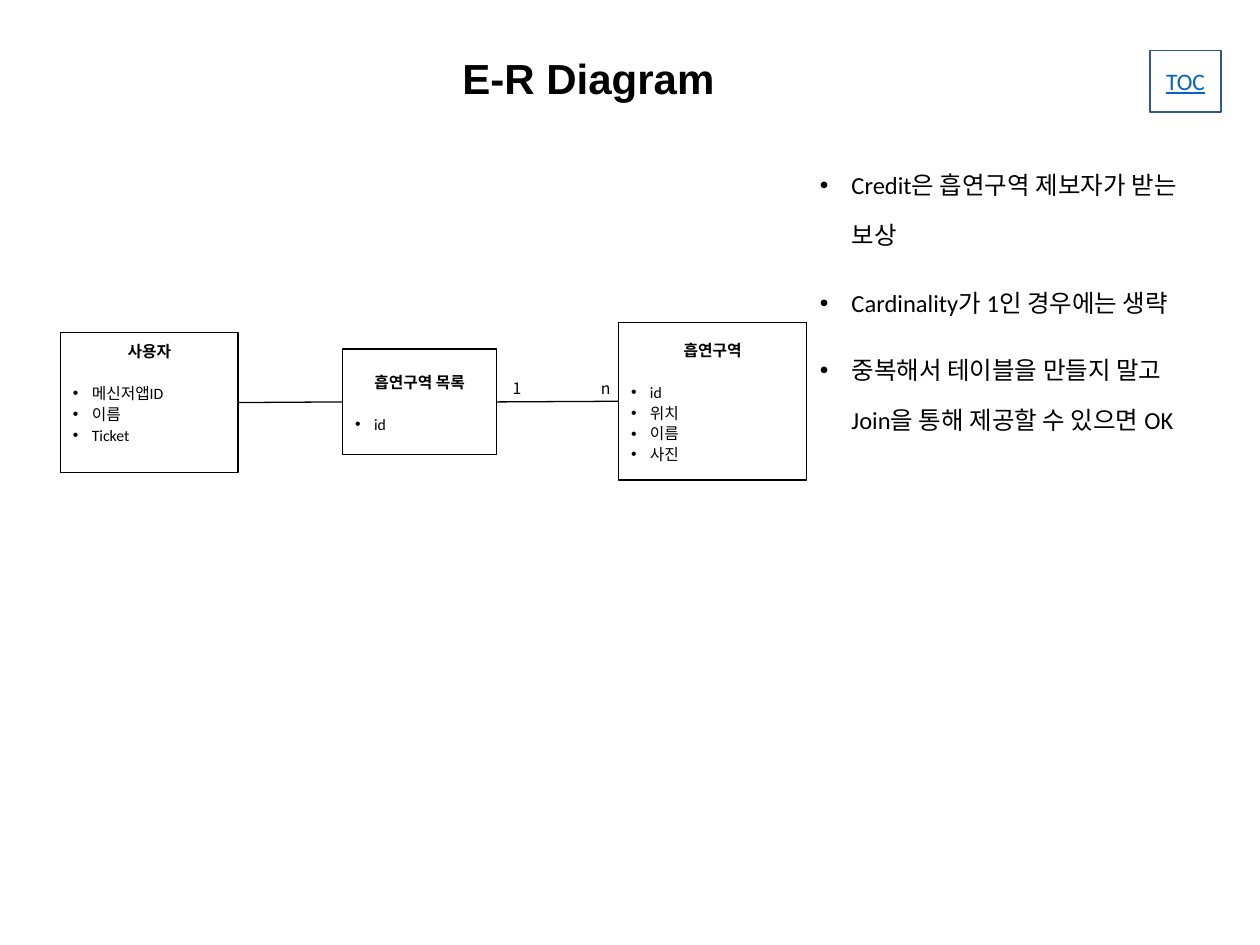
from lxml import etree
from pptx import Presentation
from pptx.dml.color import RGBColor
from pptx.enum.shapes import MSO_CONNECTOR, MSO_SHAPE
from pptx.enum.text import MSO_ANCHOR, PP_ALIGN
from pptx.oxml.ns import qn
from pptx.util import Inches, Pt

RECT = MSO_SHAPE.RECTANGLE
STRAIGHT = MSO_CONNECTOR.STRAIGHT
MIDDLE = MSO_ANCHOR.MIDDLE
CENTER, LEFT = PP_ALIGN.CENTER, PP_ALIGN.LEFT
BLACK = RGBColor(0x00, 0x00, 0x00)
WHITE = RGBColor(0xFF, 0xFF, 0xFF)
BUTTON_BLUE = RGBColor(0x32, 0x54, 0x91)
LINK_BLUE = RGBColor(0x05, 0x63, 0xC1)


def format_text(paragraph, size, name="Calibri", color=BLACK, bold=False, align=LEFT):
    paragraph.alignment = align
    for run in paragraph.runs:
        run.font.size = Pt(size)
        run.font.name = name
        run.font.color.rgb = color
        run.font.bold = bold


def add_bullet(paragraph, indent):
    properties = paragraph._p.get_or_add_pPr()
    properties.set("marL", str(Inches(indent)))
    properties.set("indent", str(-Inches(indent)))
    etree.SubElement(properties, qn("a:buFont")).set("typeface", "Arial")
    etree.SubElement(properties, qn("a:buChar")).set("char", "•")


prs = Presentation()
prs.slide_width, prs.slide_height = Inches(10), Inches(7.5)
slide = prs.slides.add_slide(prs.slide_layouts[6])
shapes = slide.shapes

# Contents button
toc = shapes.add_shape(RECT, Inches(9.13), Inches(0.4), Inches(0.56), Inches(0.49))
toc.shadow.inherit = False
toc.fill.solid()
toc.fill.fore_color.rgb = WHITE
toc.line.color.rgb = BUTTON_BLUE
toc.line.width = Pt(1)
toc.text_frame.text = "TOC"
toc.text_frame.word_wrap = False
toc.text_frame.vertical_anchor = MIDDLE
toc_label = toc.text_frame.paragraphs[0]
format_text(toc_label, 13.5, color=LINK_BLUE, align=CENTER)
toc_label.runs[0].font.underline = True

# Title
title = shapes.add_textbox(Inches(0.36), Inches(0.4), Inches(8.62), Inches(0.49))
title.text_frame.word_wrap = True
title.text_frame.vertical_anchor = MIDDLE
title.text_frame.text = "E-R Diagram"
title.text_frame.paragraphs[0].line_spacing = 0.9
format_text(title.text_frame.paragraphs[0], 24, "Arial", bold=True, align=CENTER)

# Remarks
remarks = shapes.add_textbox(Inches(6.41), Inches(1.14), Inches(3.3), Inches(5.92))
remarks.text_frame.word_wrap = True
remarks.text_frame.text = "\n".join([
    "Credit은 흡연구역 제보자가 받는 보상",
    "Cardinality가 1인 경우에는 생략",
    "중복해서 테이블을 만들지 말고\vJoin을 통해 제공할 수 있으면 OK",
])
for i, remark in enumerate(remarks.text_frame.paragraphs):
    add_bullet(remark, 0.25)
    remark.line_spacing = 1.7
    if i:
        remark.space_before = Pt(10)
    format_text(remark, 14)

# Entities: name, attributes, left, top, width, height, bottom inset
ENTITIES = [
    ("사용자", ["메신저앱ID", "이름", "Ticket"], 0.48, 2.64, 1.41, 1.11, 0.21),
    ("흡연구역 목록", ["id"], 2.72, 2.77, 1.22, 0.84, 0.05),
    ("흡연구역", ["id", "위치", "이름", "사진"], 4.91, 2.56, 1.49, 1.25, 0.05),
]
entities = []
for name, attributes, left, top, width, height, bottom_inset in ENTITIES:
    entity = shapes.add_shape(RECT, Inches(left), Inches(top), Inches(width), Inches(height))
    entity.shadow.inherit = False
    entity.fill.solid()
    entity.fill.fore_color.rgb = WHITE
    entity.line.color.rgb = BLACK
    entity.line.width = Pt(0.75)
    frame = entity.text_frame
    frame.word_wrap = True
    frame.vertical_anchor = MIDDLE
    frame.margin_bottom = Inches(bottom_inset)
    frame.text = "\n".join([name] + attributes)
    heading, *rows = frame.paragraphs
    heading.line_spacing = 1.1
    format_text(heading, 9, bold=True, align=CENTER)
    for row in rows:
        add_bullet(row, 0.15)
        row.line_spacing = 1.1
        format_text(row, 9)
    rows[0].space_before = Pt(12)
    entities.append(entity)

# Relationships between neighbouring entities
for source, target in zip(entities, entities[1:]):
    relation = shapes.add_connector(STRAIGHT, 0, 0, 0, 0)
    relation.begin_connect(source, 3)
    relation.end_connect(target, 1)
    relation.line.color.rgb = BLACK
    relation.line.width = Pt(0.75)
    etree.SubElement(relation._element.spPr, qn("a:effectLst"))

# Cardinalities
for cardinality, left in [("1", 3.97), ("n", 4.67)]:
    label = shapes.add_textbox(Inches(left), Inches(2.96), Inches(0.28), Inches(0.25))
    label.text_frame.word_wrap = False
    label.text_frame.text = cardinality
    format_text(label.text_frame.paragraphs[0], 9, "Noto Sans CJK KR")

prs.save("out.pptx")
